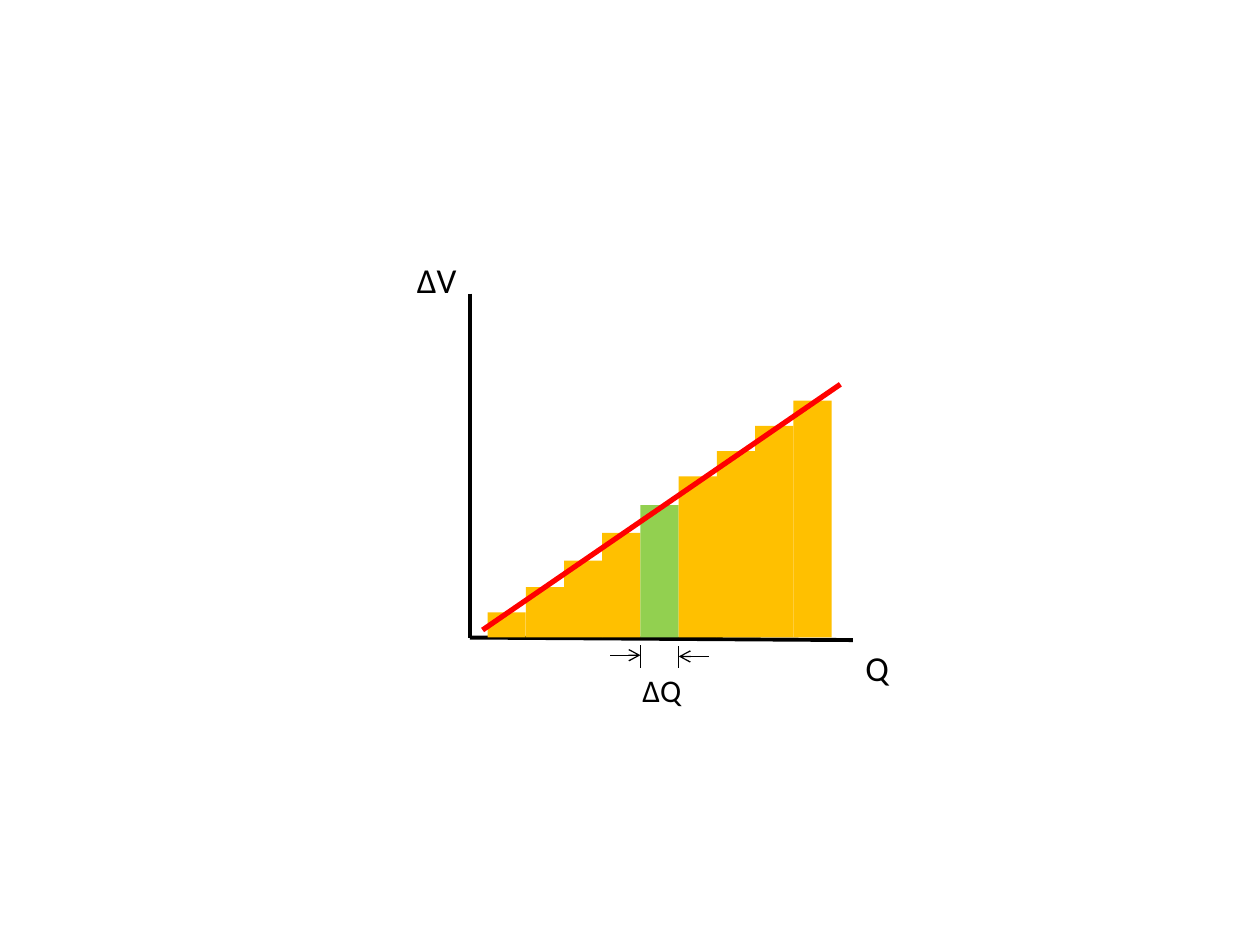
from pptx import Presentation
from pptx.dml.color import RGBColor
from pptx.enum.shapes import MSO_CONNECTOR, MSO_SHAPE
from pptx.enum.text import MSO_AUTO_SIZE
from pptx.oxml.ns import qn
from pptx.util import Inches, Pt
from lxml import etree

RECT = MSO_SHAPE.RECTANGLE
LINE = MSO_CONNECTOR.STRAIGHT
GROW = MSO_AUTO_SIZE.SHAPE_TO_FIT_TEXT

BASE = 5.06
LEFT, RIGHT = 3.87, 6.6
TOPS = [4.86, 4.66, 4.45, 4.23, 4.01, 3.78, 3.58, 3.38, 3.18]
STEP = (RIGHT - LEFT) / len(TOPS)
MARKED = 4


def color(code):
    return RGBColor.from_string(code)


def add_bar(slide, x, top, fill):
    bar = slide.shapes.add_shape(
        RECT, Inches(x), Inches(top), Inches(STEP), Inches(BASE - top))
    bar.shadow.inherit = False
    bar.fill.solid()
    bar.fill.fore_color.rgb = color(fill)
    bar.line.fill.background()


def add_line(slide, start, end, width, code="000000", arrow=False):
    points = [Inches(n) for n in (*start, *end)]
    line = slide.shapes.add_connector(LINE, *points)
    line.line.color.rgb = color(code)
    line.line.width = Pt(width)
    if arrow:
        tail = etree.SubElement(line.line._get_or_add_ln(), qn("a:tailEnd"))
        tail.set("type", "arrow")
    etree.SubElement(line._element.spPr, qn("a:effectLst"))


def add_label(slide, text, box, size):
    label = slide.shapes.add_textbox(*[Inches(n) for n in box])
    frame = label.text_frame
    frame.word_wrap = False
    frame.auto_size = GROW
    frame.text = text
    font = frame.paragraphs[0].runs[0].font
    font.name = "Calibri"
    font.size = Pt(size)
    font.color.rgb = color("000000")


def main():
    deck = Presentation()
    deck.slide_width, deck.slide_height = Inches(10), Inches(7.5)
    slide = deck.slides.add_slide(deck.slide_layouts[6])

    # Axes with their names
    add_line(slide, (3.73, 2.33), (3.73, BASE), 2.25)
    add_line(slide, (6.77, 5.08), (3.73, BASE), 2.25)
    add_label(slide, "ΔV", (3.21, 2, 0.56, 0.44), 20)
    add_label(slide, "Q", (6.77, 5.08, 0.42, 0.44), 20)

    # Rising bars, one of them marked
    for i, top in enumerate(TOPS):
        fill = "92D050" if i == MARKED else "FFC000"
        add_bar(slide, LEFT + i * STEP, top, fill)

    # Trend across the bars
    add_line(slide, (3.83, 5), (6.67, 3.05), 3, "FF0000")

    # Width of the marked bar
    near = LEFT + MARKED * STEP
    for x, y, side in ((near, 5.2, -1), (near + STEP, 5.21, 1)):
        add_line(slide, (x, y - 0.08), (x, 5.3), 0.75)
        add_line(slide, (x + side * 0.24, y), (x, y), 0.75, arrow=True)
    add_label(slide, "ΔQ", (5, 5.28, 0.51, 0.37), 18)

    deck.save("out.pptx")


if __name__ == "__main__":
    main()
